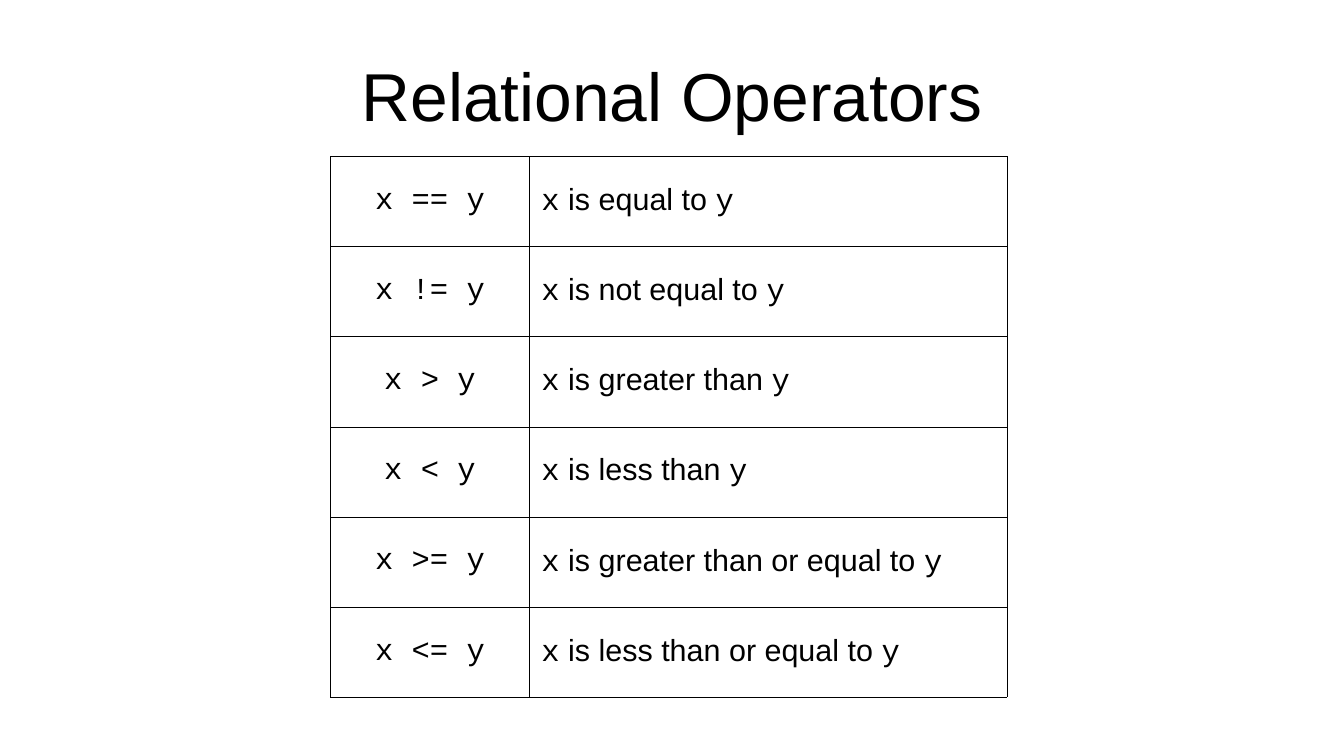
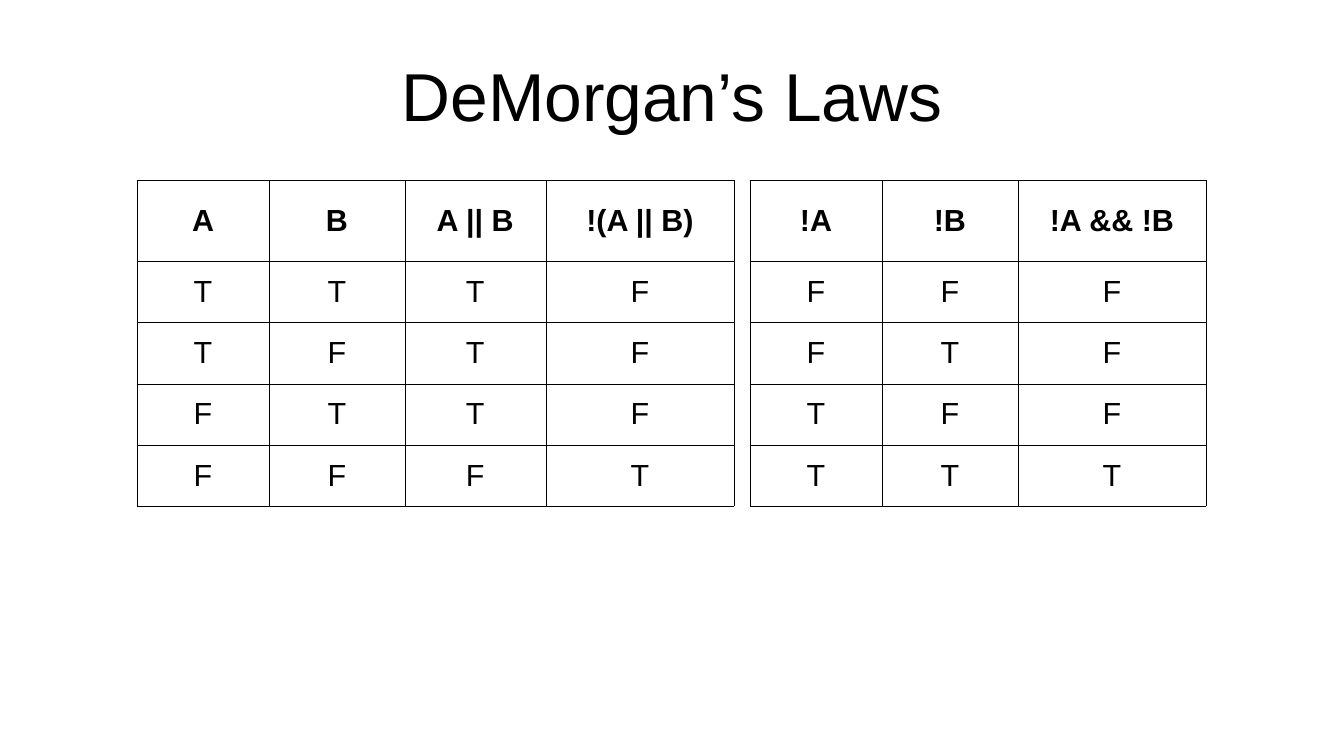
"""Build two slides on relational operators and DeMorgan's laws."""
from dataclasses import dataclass
from itertools import product

from lxml.etree import fromstring
from pptx import Presentation
from pptx.dml.color import RGBColor
from pptx.enum.text import MSO_ANCHOR, PP_ALIGN
from pptx.oxml.ns import nsdecls
from pptx.util import Pt


@dataclass(frozen=True)
class Theme:
    ink: str = "000000"
    prose: str = "Arial"
    code: str = "Courier New"
    title_size: float = 40
    cell_size: float = 18
    border: float = 0.06


theme = Theme()


def write(frame, spans, size, align, bold=False):
    paragraph = frame.paragraphs[0]
    paragraph.alignment = align
    for text, font_name in spans:
        span = paragraph.add_run()
        span.text = text
        span.font.name = font_name
        span.font.size = Pt(size)
        span.font.bold = bold
        span.font.color.rgb = RGBColor.from_string(theme.ink)


def add_grid(page, left, top, widths, heights):
    table = page.shapes.add_table(
        len(heights), len(widths), Pt(left), Pt(top), Pt(sum(widths)), Pt(sum(heights))
    ).table
    table.first_row = table.horz_banding = False
    for column, width in zip(table.columns, widths):
        column.width = Pt(width)
    for row, height in zip(table.rows, heights):
        row.height = Pt(height)
    for cell in table.iter_cells():
        cell.vertical_anchor = MSO_ANCHOR.MIDDLE
        cell.fill.background()
        properties = cell._tc.get_or_add_tcPr()
        for position, side in enumerate("LRTB"):
            properties.insert(position, fromstring(
                f'<a:ln{side} {nsdecls("a")} w="{Pt(theme.border)}"><a:solidFill>'
                f'<a:srgbClr val="{theme.ink}"/></a:solidFill></a:ln{side}>'
            ))
    return table


deck = Presentation()
deck.slide_width, deck.slide_height = Pt(793.7), Pt(446.4)

pages = []
for title in ("Relational Operators", "DeMorgan’s Laws"):
    page = deck.slides.add_slide(deck.slide_layouts[6])
    box = page.shapes.add_textbox(Pt(39.6), Pt(18), Pt(714.3), Pt(75))
    frame = box.text_frame
    frame.word_wrap = True
    frame.vertical_anchor = MSO_ANCHOR.MIDDLE
    frame.margin_left = frame.margin_right = frame.margin_top = frame.margin_bottom = 0
    write(frame, [(title, theme.prose)], theme.title_size, PP_ALIGN.CENTER)
    pages.append(page)
operators_page, laws_page = pages

operators = [
    ("==", "equal to"),
    ("!=", "not equal to"),
    (">", "greater than"),
    ("<", "less than"),
    (">=", "greater than or equal to"),
    ("<=", "less than or equal to"),
]
table = add_grid(operators_page, 195.2, 92.2, [117.4, 282], [53.25] * len(operators))
for row, (operator, meaning) in enumerate(operators):
    expression = [(f"x {operator} y", theme.code)]
    sentence = [("x", theme.code), (f" is {meaning} ", theme.prose), ("y", theme.code)]
    write(table.cell(row, 0).text_frame, expression, theme.cell_size, PP_ALIGN.CENTER)
    write(table.cell(row, 1).text_frame, sentence, theme.cell_size, PP_ALIGN.LEFT)

cases = list(product((True, False), repeat=2))
truth_tables = [
    (80.8, [78.2, 80, 83.3, 111.4], ["A", "B", "A || B", "!(A || B)"],
     [(a, b, a or b, not (a or b)) for a, b in cases]),
    (442.8, [78.2, 80, 111.4], ["!A", "!B", "!A && !B"],
     [(not a, not b, not a and not b) for a, b in cases]),
]
for left, widths, headings, outcomes in truth_tables:
    table = add_grid(laws_page, left, 106.4, widths, [47.8] + [36.2] * len(cases))
    letters = [["T" if value else "F" for value in values] for values in outcomes]
    for row, texts in enumerate([headings] + letters):
        for column, text in enumerate(texts):
            write(table.cell(row, column).text_frame, [(text, theme.prose)],
                  theme.cell_size, PP_ALIGN.CENTER, bold=row == 0)

deck.save("out.pptx")
